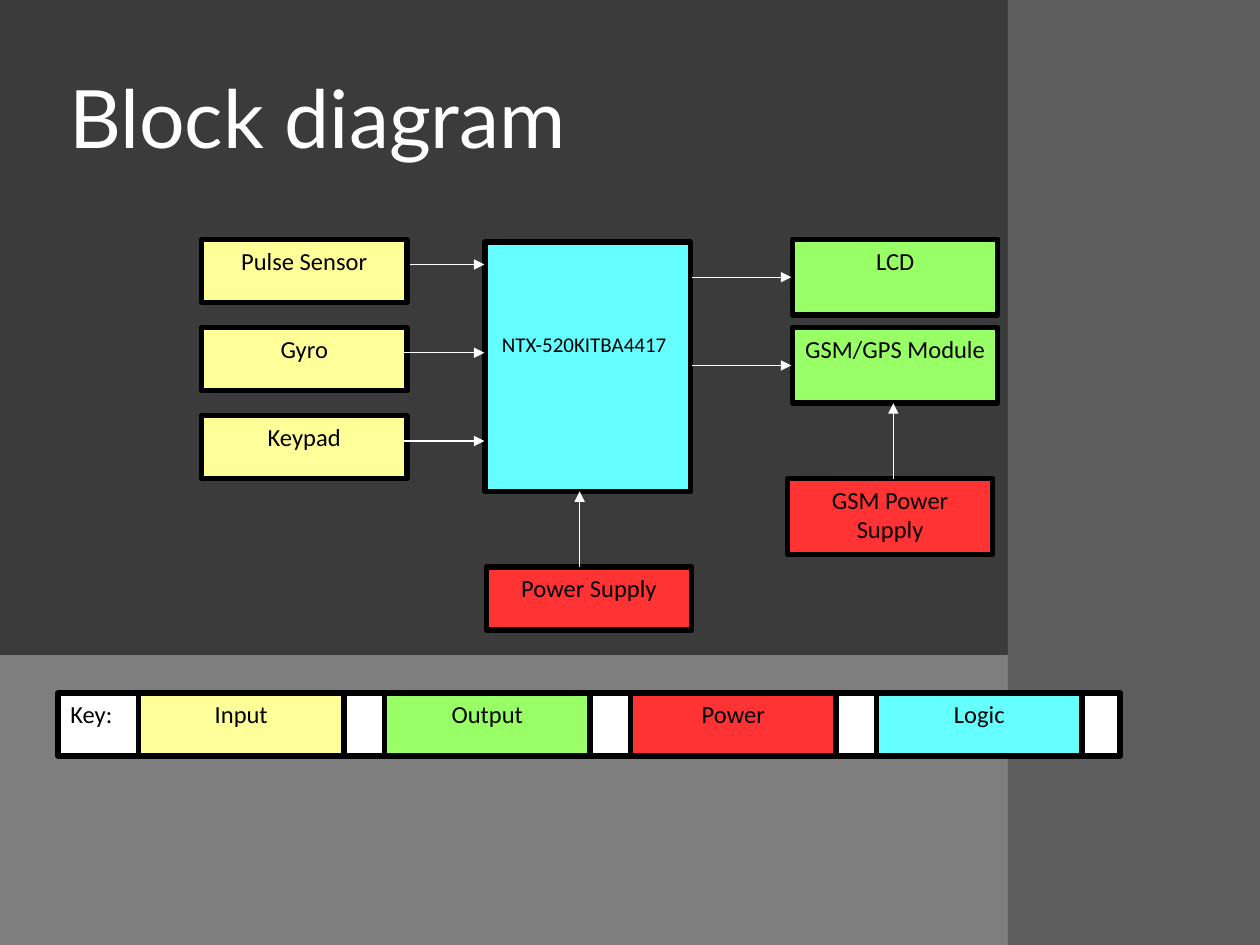
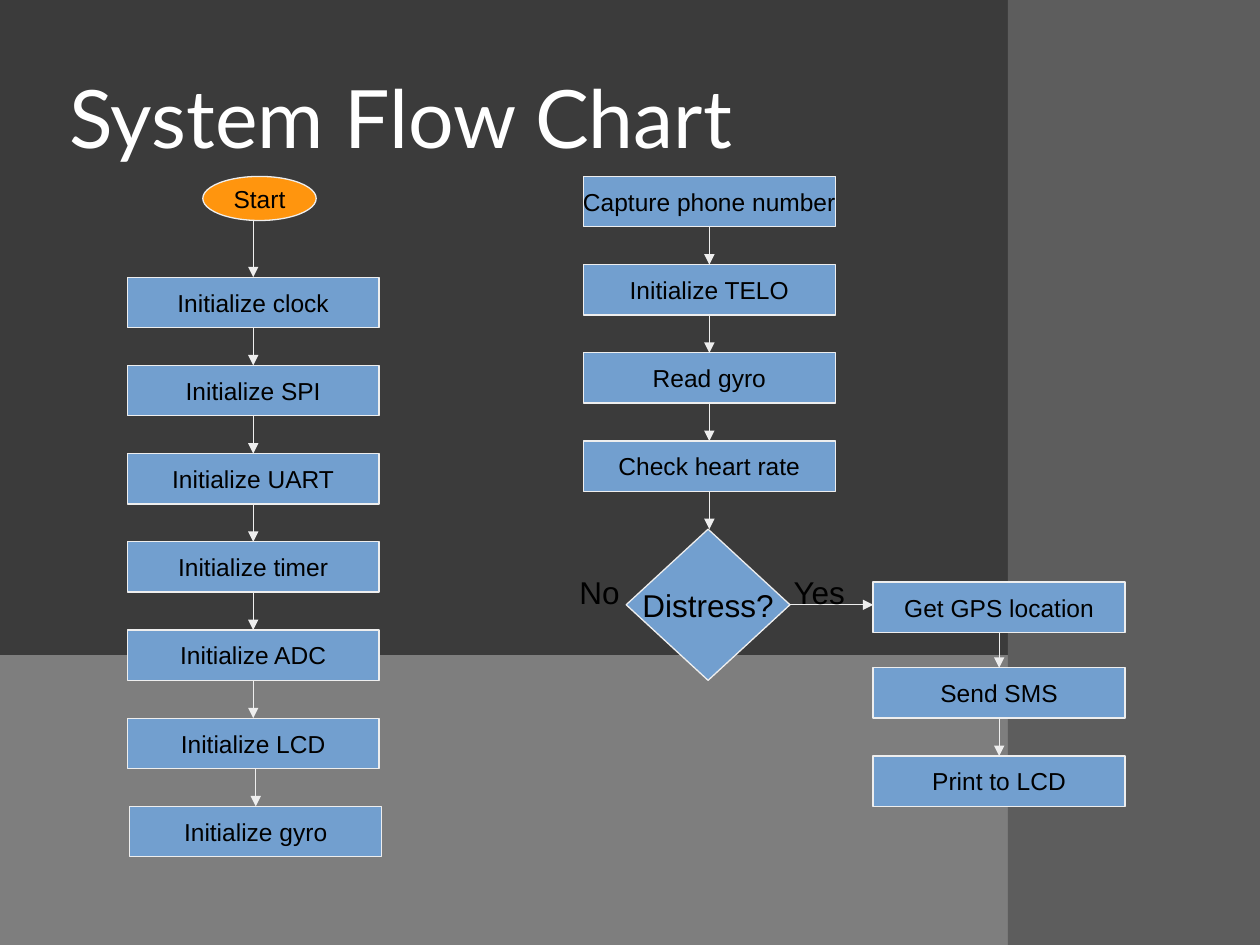
from dataclasses import dataclass
from itertools import pairwise
from typing import Any

from lxml import etree
from pptx import Presentation
from pptx import util as u
from pptx.dml import color
from pptx.enum import shapes, text
from pptx.oxml import ns

WHITE, BLACK, PALE = "FFFFFF", "000000", "EEEEEE"
INPUT, OUTPUT, POWER, LOGIC = "FFFF99", "99FF66", "FF3333", "66FFFF"
STEP, START = "729FCF", "FF950E"
BACKDROP, FLOOR, SIDE = "3B3B3B", "7E7E7E", "5D5D5D"

CENTER, LEFT = text.PP_ALIGN.CENTER, text.PP_ALIGN.LEFT
TOP, MIDDLE = text.MSO_ANCHOR.TOP, text.MSO_ANCHOR.MIDDLE
RECTANGLE = shapes.MSO_SHAPE.RECTANGLE
OVAL, DIAMOND = shapes.MSO_SHAPE.OVAL, shapes.MSO_SHAPE.DIAMOND

BLOCK_WIDTH = 117.36
STEP_WIDTH, STEP_HEIGHT = 144, 28.8
PITCH = 50.4


@dataclass(frozen=True)
class Style:
    font: str
    size: float
    ink: str = BLACK
    align: Any = CENTER
    anchor: Any = TOP
    wrap: bool = True
    insets: tuple[float, float, float, float] = (7.2, 3.6, 7.2, 3.6)
    outline: str = BLACK
    weight: float = 3


@dataclass(frozen=True)
class Node:
    label: str
    left: float
    top: float
    width: float
    height: float
    fill: str | None = None
    outline: Any = RECTANGLE


@dataclass(frozen=True)
class Arrow:
    x1: float
    y1: float
    x2: float
    y2: float


TITLE = Style("Lato", 46, WHITE, LEFT, MIDDLE, insets=(3.6, 3.6, 3.6, 3.6))
BLOCK = Style("Calibri", 14)
CONTROLLER = Style("Calibri", 12, insets=(5, 51, 9, 3.6))
KEY = Style("Calibri", 14, align=LEFT)
FLOW = Style("Arial", 14, anchor=MIDDLE, wrap=False, outline=PALE, weight=0.75)
DECISION = Style("Arial", 18, anchor=MIDDLE, wrap=False, outline=PALE, weight=0.75)
BRANCH = Style("Arial", 18, align=LEFT)


def rgb(value: str) -> color.RGBColor:
    return color.RGBColor.from_string(value)


def set_all(target: Any, values: dict[str, Any]) -> None:
    for name, value in values.items():
        setattr(target, name, value)


def write(box: Any, label: str, style: Style) -> None:
    frame = box.text_frame
    left, top, right, bottom = map(u.Pt, style.insets)
    set_all(frame, {
        "word_wrap": style.wrap, "vertical_anchor": style.anchor,
        "margin_left": left, "margin_top": top,
        "margin_right": right, "margin_bottom": bottom,
    })
    para = frame.paragraphs[0]
    para.alignment = style.align
    span = para.add_run()
    span.text = label
    set_all(span.font, {"name": style.font, "size": u.Pt(style.size)})
    span.font.color.rgb = rgb(style.ink)


def draw_node(page: Any, node: Node, style: Style | None = None) -> None:
    place = map(u.Pt, (node.left, node.top, node.width, node.height))
    if node.fill is None:
        box = page.shapes.add_textbox(*place)
    else:
        box = page.shapes.add_shape(node.outline, *place)
        box.shadow.inherit = False
        box.fill.solid()
        box.fill.fore_color.rgb = rgb(node.fill)
        if style:
            box.line.color.rgb = rgb(style.outline)
            box.line.width = u.Pt(style.weight)
        else:
            box.line.fill.background()
    if style:
        write(box, node.label, style)


def draw_arrow(page: Any, arrow: Arrow, ink: str) -> None:
    ends = map(u.Pt, (arrow.x1, arrow.y1, arrow.x2, arrow.y2))
    line = page.shapes.add_connector(shapes.MSO_CONNECTOR.STRAIGHT, *ends)
    line.line.color.rgb = rgb(ink)
    line.line.width = u.Pt(0.75)
    properties = line.element.spPr
    etree.SubElement(properties.find(ns.qn("a:ln")), ns.qn("a:tailEnd"), type="triangle")
    etree.SubElement(properties, ns.qn("a:effectLst"))


def add_page(deck: Any, title: str) -> Any:
    page = deck.slides.add_slide(deck.slide_layouts[6])
    draw_node(page, Node("", 0, 374.4, 720, 165.6, FLOOR))
    draw_node(page, Node("", 576, 0, 144, 540, SIDE))
    draw_node(page, Node(title, 36, 21.6, 588.24, 90), TITLE)
    return page


def block_diagram(deck: Any) -> None:
    page = add_page(deck, "Block diagram")
    draw_node(page, Node("NTX-520KITBA4417", 277.2, 138.24, BLOCK_WIDTH, 142.56, LOGIC), CONTROLLER)

    inputs = [
        Node(label, 115.2, 136.8 + row * PITCH, BLOCK_WIDTH, 36, INPUT)
        for row, label in enumerate(("Pulse Sensor", "Gyro", "Keypad"))
    ]
    outputs = [
        Node(label, 452.88, 136.8 + row * PITCH, BLOCK_WIDTH, 43.2, OUTPUT)
        for row, label in enumerate(("LCD", "GSM/GPS Module"))
    ]
    supplies = [
        Node("Power Supply", 277.92, 324, BLOCK_WIDTH, 36, POWER),
        Node("GSM Power Supply", 450, 273.6, BLOCK_WIDTH, 43.2, POWER),
    ]
    for node in inputs + outputs + supplies:
        draw_node(page, node, BLOCK)

    arrows = [
        Arrow(start, 151.2 + row * PITCH, 276.8, 151.2 + row * PITCH)
        for row, start in enumerate((234, 230.4, 230.4))
    ]
    arrows += [Arrow(395.28, y, 452.16, y) for y in (158.4, 158.4 + PITCH)]
    arrows += [Arrow(331.2, 324, 331.2, 280.8), Arrow(510.48, 273.6, 510.48, 230.4)]
    for arrow in arrows:
        draw_arrow(page, arrow, WHITE)

    draw_node(page, Node("Key:", 33.12, 396, 606.96, 36, WHITE), KEY)
    legend = (("Input", INPUT), ("Output", OUTPUT), ("Power", POWER), ("Logic", LOGIC))
    for column, (label, fill) in enumerate(legend):
        draw_node(page, Node(label, 79.2 + column * 140.6, 396, BLOCK_WIDTH, 36, fill), BLOCK)


def step(label: str, left: float, top: float) -> Node:
    return Node(label, left, top, STEP_WIDTH, STEP_HEIGHT, STEP)


def step_column(labels: tuple[str, ...], left: float, top: float) -> list[Node]:
    return [step(label, left, top + row * PITCH) for row, label in enumerate(labels)]


def link(upper: Node, lower: Node) -> Arrow:
    center = lower.left + STEP_WIDTH / 2
    return Arrow(center, upper.top + upper.height, center, lower.top)


def flow_chart(deck: Any) -> None:
    page = add_page(deck, "System Flow Chart")
    start = Node("Start", 115.92, 100.8, 64.8, 25.2, START, OVAL)
    decision = Node("Distress?", 357.84, 302.4, 93.6, 86.4, STEP, DIAMOND)
    setup = step_column((
        "Initialize clock", "Initialize SPI", "Initialize UART",
        "Initialize timer", "Initialize ADC", "Initialize LCD",
    ), 72.72, 158.4)
    setup.append(step("Initialize gyro", 74.16, 460.8))
    monitor = step_column((
        "Capture phone number", "Initialize TELO", "Read gyro", "Check heart rate",
    ), 333.36, 100.8)
    alert = [
        step(label, 498.96, top)
        for label, top in (("Get GPS location", 332.64), ("Send SMS", 381.6), ("Print to LCD", 432))
    ]

    arrows = [link(*pair) for chain in ([start] + setup, monitor, alert) for pair in pairwise(chain)]
    arrows += [Arrow(405.36, 280.8, 405.36, 302.4), Arrow(451.44, 345.6, 498.96, 345.6)]
    for arrow in arrows:
        draw_arrow(page, arrow, PALE)
    for node in [start] + setup + monitor + alert:
        draw_node(page, node, FLOW)
    draw_node(page, decision, DECISION)
    for label, left in (("Yes", 446.4), ("No", 324)):
        draw_node(page, Node(label, left, 324, 50.4, 27.36), BRANCH)


def main() -> None:
    deck = Presentation()
    set_all(deck, {"slide_width": u.Pt(720), "slide_height": u.Pt(540)})
    backdrop = deck.slide_master.background.fill
    backdrop.solid()
    backdrop.fore_color.rgb = rgb(BACKDROP)
    block_diagram(deck)
    flow_chart(deck)
    deck.save("out.pptx")


if __name__ == "__main__":
    main()
